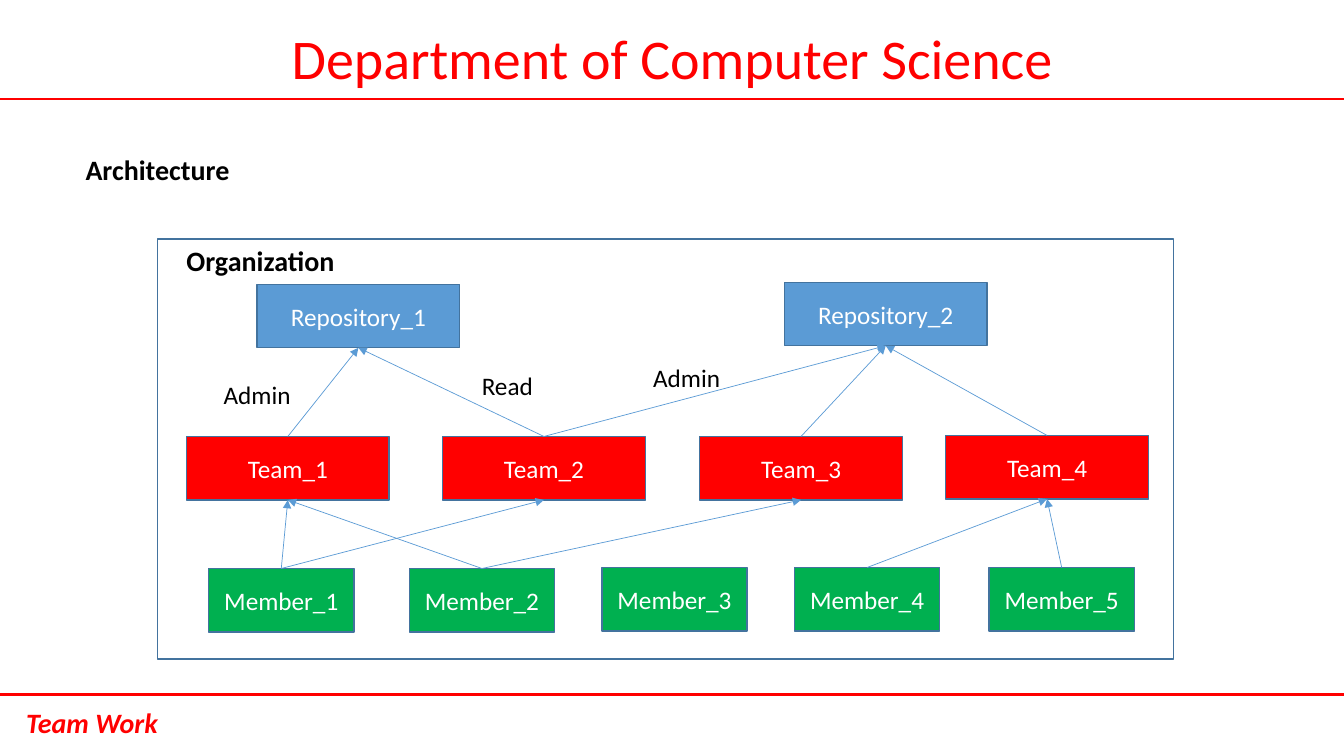
"""Builds the Team Work architecture slide."""
from dataclasses import dataclass

from lxml.etree import SubElement
from pptx import Presentation
from pptx.dml.color import RGBColor as RGB
from pptx.enum.shapes import MSO_CONNECTOR as CONNECTOR, MSO_SHAPE as SHAPE
from pptx.enum.text import MSO_ANCHOR as ANCHOR, MSO_AUTO_SIZE as AUTO, PP_ALIGN as ALIGN
from pptx.oxml.ns import qn
from pptx.util import Emu, Pt

PX = 9144
WIDTH, HEIGHT = 1333, 750
TOP, LEFT, BOTTOM, RIGHT = range(4)


def px(n):
    return Emu(n * PX)


@dataclass(frozen=True)
class Theme:
    font: str = "Calibri"
    red: str = "FF0000"
    blue: str = "5B9BD5"
    green: str = "00B050"
    border: str = "43739E"
    black: str = "000000"
    white: str = "FFFFFF"
    title: int = 40
    heading: int = 20
    body: int = 18
    rule: float = 1.5
    outline: float = 1
    arrow: float = 0.5


class Deck:
    def __init__(self, theme):
        self.theme = theme
        self.prs = Presentation()
        self.prs.slide_width, self.prs.slide_height = px(WIDTH), px(HEIGHT)
        self.s = self.prs.slides.add_slide(self.prs.slide_layouts[5])

    def text(self, tf, text, size, color, bold=False, italic=False, align=ALIGN.LEFT):
        p = tf.paragraphs[0]
        p.alignment = align
        r = p.add_run()
        r.text = text
        f = r.font
        f.name, f.size, f.bold, f.italic = self.theme.font, Pt(size), bold, italic
        f.color.rgb = RGB.from_string(color)

    def title(self, text, x, y, w, h):
        sp = self.s.shapes.title
        sp.left, sp.top, sp.width, sp.height = map(px, (x, y, w, h))
        tf = sp.text_frame
        tf.word_wrap, tf.auto_size = False, AUTO.SHAPE_TO_FIT_TEXT
        tf.vertical_anchor = ANCHOR.TOP
        self.text(tf, text, self.theme.title, self.theme.red, align=ALIGN.CENTER)

    def label(self, text, x, y, w, h, size, color, **style):
        tf = self.s.shapes.add_textbox(*map(px, (x, y, w, h))).text_frame
        tf.word_wrap, tf.auto_size = False, AUTO.SHAPE_TO_FIT_TEXT
        self.text(tf, text, size, color, **style)

    def box(self, x, y, w, h, fill=None, text=None):
        sp = self.s.shapes.add_shape(SHAPE.RECTANGLE, *map(px, (x, y, w, h)))
        sp.shadow.inherit = False
        sp.line.color.rgb = RGB.from_string(self.theme.border)
        sp.line.width = Pt(self.theme.outline)
        if fill:
            sp.fill.solid()
            sp.fill.fore_color.rgb = RGB.from_string(fill)
        else:
            sp.fill.background()
        if text:
            tf = sp.text_frame
            tf.word_wrap, tf.vertical_anchor = True, ANCHOR.MIDDLE
            self.text(tf, text, self.theme.body, self.theme.white, align=ALIGN.CENTER)
        return sp

    def line(self, x1, y1, x2, y2, color, width):
        c = self.s.shapes.add_connector(CONNECTOR.STRAIGHT, *map(px, (x1, y1, x2, y2)))
        c.line.color.rgb = RGB.from_string(color)
        c.line.width = Pt(width)
        SubElement(c.element.spPr, qn("a:effectLst"))
        return c

    def arrow(self, start, end):
        c = self.line(0, 0, 0, 0, self.theme.blue, self.theme.arrow)
        c.begin_connect(start, TOP)
        c.end_connect(end, BOTTOM)
        SubElement(c.element.spPr.find(qn("a:ln")), qn("a:tailEnd"), type="triangle")


def main():
    t = Theme()
    deck = Deck(t)
    deck.title("Department of Computer Science", 275, 18, 783, 77)
    for y in (98, 689):
        deck.line(0, y, WIDTH, y, t.red, t.rule)
    deck.box(156, 237, 1008, 417)
    deck.label("Architecture", 75, 146, 164, 44, t.heading, t.black, bold=True)
    deck.label("Organization", 175, 237, 168, 44, t.heading, t.black, bold=True)
    deck.label("Team Work", 16, 695, 152, 44, t.heading, t.red, bold=True, italic=True)

    rows = (
        ("Repository", t.blue, 201, ((255, 282), (778, 280))),
        ("Team", t.red, 201, ((185, 433), (439, 433), (694, 433), (938, 432))),
        ("Member", t.green, 144,
         ((207, 564), (406, 564), (597, 563), (788, 563), (981, 563))),
    )
    nodes = {}
    for kind, fill, w, places in rows:
        for i, (x, y) in enumerate(places, 1):
            nodes[kind, i] = deck.box(x, y, w, 63, fill, f"{kind}_{i}")

    links = (
        ("Team", "Repository", ((1, 1), (2, 1), (2, 2), (3, 2), (4, 2))),
        ("Member", "Team", ((1, 1), (1, 2), (2, 3), (2, 1), (4, 4), (5, 4))),
    )
    for lower, upper, pairs in links:
        for a, b in pairs:
            deck.arrow(nodes[lower, a], nodes[upper, b])

    for text, x, y, w in (("Admin", 212, 371, 87), ("Read", 468, 362, 71),
                          ("Admin", 638, 355, 87)):
        deck.label(text, x, y, w, 40, t.body, t.black)
    deck.prs.save("out.pptx")


if __name__ == "__main__":
    main()
